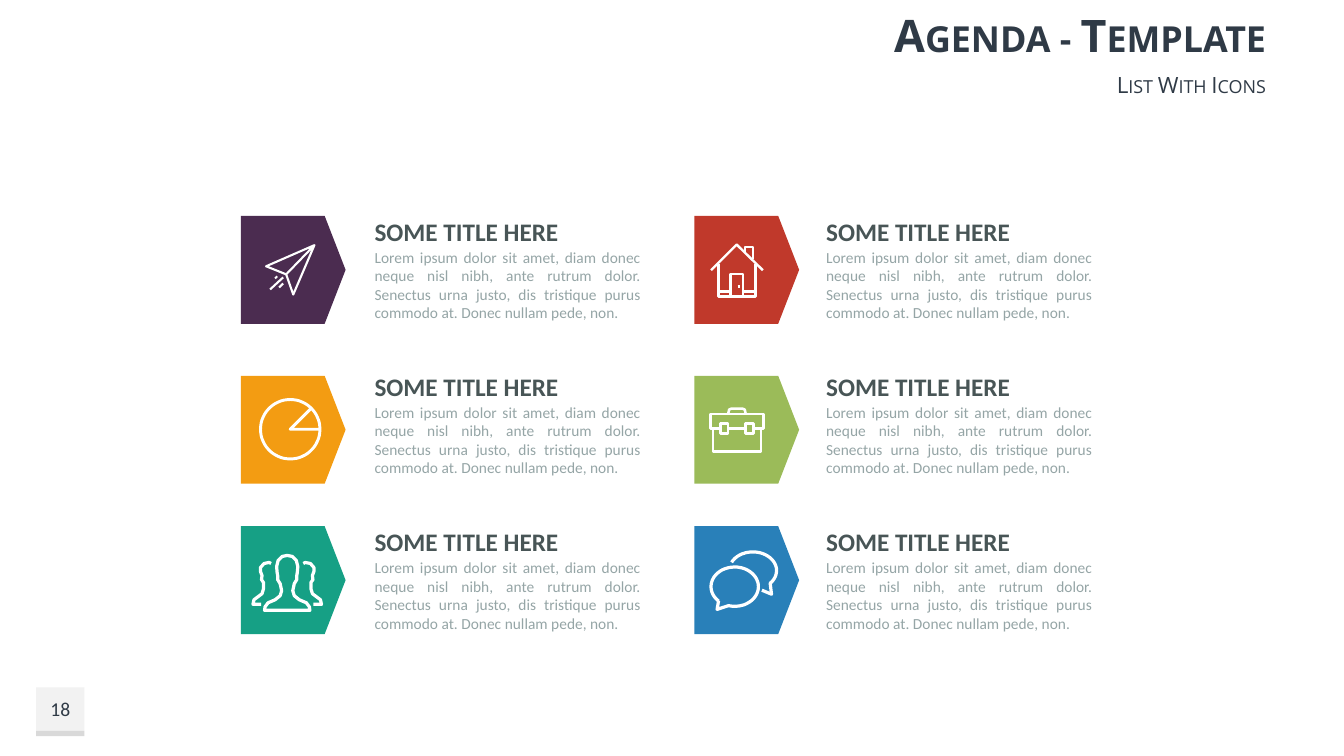
"""Build an agenda slide with six titled entries, each marked by an arrow badge with a line icon."""
from math import cos, radians, sin

from pptx import Presentation
from pptx.dml.color import RGBColor
from pptx.enum.shapes import MSO_SHAPE
from pptx.enum.text import MSO_ANCHOR, MSO_AUTO_SIZE, PP_ALIGN
from pptx.util import Cm, Pt


def arc(cx, cy, rx, ry, start, end):
    """Return points along an ellipse, clockwise, angles in degrees."""
    steps = 60
    angles = [radians(start + (end - start) * i / steps) for i in range(steps + 1)]
    return [(cx + rx * cos(a), cy + ry * sin(a)) for a in angles]


def write(frame, text, size, color, align, font="Calibri", bold=False, **frame_format):
    """Fill a text frame with one formatted run and return the run."""
    for key, value in frame_format.items():
        setattr(frame, key, value)
    paragraph = frame.paragraphs[0]
    paragraph.alignment = align
    run = paragraph.add_run()
    run.text = text
    for key, value in {"name": font, "size": Pt(size), "bold": bold}.items():
        setattr(run.font, key, value)
    run.font.color.rgb = RGBColor.from_string(color)
    return run


deck = Presentation()
deck.slide_width, deck.slide_height = Cm(33.87), Cm(19.05)
slide = deck.slides.add_slide(deck.slide_layouts[0])
shapes = slide.shapes

headings = [
    (shapes.title, "Agenda - Template", 0, 1.73, 32, True),
    (slide.placeholders[1], "List With Icons", 1.73, 0.79, 16, False),
]
for heading, text, top, height, size, bold in headings:
    place = {"left": Cm(10.8), "top": Cm(top), "width": Cm(21.36), "height": Cm(height)}
    for key, value in place.items():
        setattr(heading, key, value)
    run = write(heading.text_frame, text, size, "2F3A46", PP_ALIGN.RIGHT, "Open Sans", bold,
                vertical_anchor=MSO_ANCHOR.MIDDLE, auto_size=MSO_AUTO_SIZE.NONE, word_wrap=True)
    run.font._element.set("cap", "small")

for top, height, color, number in [(17.32, 1.1, "F2F2F2", "18"), (18.42, 0.13, "D9D9D9", "")]:
    tile = shapes.add_shape(MSO_SHAPE.RECTANGLE, Cm(0.91), Cm(top), Cm(1.22), Cm(height))
    tile.shadow.inherit = False
    tile.fill.solid()
    tile.fill.fore_color.rgb = RGBColor.from_string(color)
    tile.line.fill.background()
    if number:
        write(tile.text_frame, number, 14, "2F3A46", PP_ALIGN.CENTER,
              vertical_anchor=MSO_ANCHOR.MIDDLE)

# Icon strokes are in hundredths of an inch from the badge's top left corner.
plane = [
    [(45, 58), (73, 29), (25, 50), (45, 58), (52, 78), (73, 29)],
    [(42, 67), (38, 71)],
    [(42, 61), (29, 73)],
    [(36, 60), (34, 62)],
]
pie = [arc(49, 53, 29.5, 29.5, 0, 360), [(70, 32), (49, 53), (78.5, 53)]]

half_person = [(0, 29), (5, 30), (9, 34), (10.5, 40), (10, 46), (9.5, 49), (9.5, 53), (7, 57),
               (5.5, 64), (7, 69), (12, 73), (19, 76), (22, 80), (22.5, 83.5)]
neighbour = [(16, 37), (18, 36), (23, 37), (26.5, 41), (26.5, 45), (25, 49), (25.5, 53),
             (23.5, 56), (23.5, 62), (25, 67), (29, 70), (33, 73), (34, 77.5), (26, 77.5)]
middle = 46
people = [
    [(middle + x, y) for x, y in half_person]
    + [(middle - x, y) for x, y in reversed(half_person)],
    [(middle + x, y) for x, y in neighbour],
    [(middle - x, y) for x, y in neighbour],
]
house = [
    [(16.5, 54), (42, 28.5), (68, 54)],
    [(24, 48), (24, 80), (60.5, 80), (60.5, 48)],
    [(24, 75), (36, 75)],
    [(48, 75), (60.5, 75)],
    [(36, 80), (36, 58), (48, 58), (48, 80)],
    [(43, 70), (45, 70)],
    [(50.5, 36), (50.5, 31), (58, 31), (58, 43)],
]
briefcase = [
    [(26, 52.5), (16, 52.5), (16, 38), (68.5, 38), (68.5, 52.5), (58.5, 52.5)],
    [(18.5, 52.5), (18.5, 75), (66, 75), (66, 52.5)],
    [(33.5, 52.5), (51, 52.5)],
    [(33.5, 38), (34.5, 33.5), (37, 32.5), (47.5, 32.5), (50, 33.5), (51, 38)],
]
briefcase += [[(x, 47.5), (x + 7.5, 47.5), (x + 7.5, 57.5), (x, 57.5), (x, 47.5)]
              for x in (26, 51)]
chat = [
    arc(40, 60, 23.5, 19.5, 133, 465) + [(22.5, 82.5), (24, 74)],
    arc(58, 44, 23.5, 18.5, 206, 403) + [(76.5, 67.5), (67, 63.5)],
]

entry_title = "SOME TITLE HERE"
entry_text = ("Lorem ipsum dolor sit amet, diam donec neque nisl nibh, ante rutrum dolor. "
              "Senectus urna justo, dis tristique purus commodo at. Donec nullam pede, non.")
columns = [
    (6.07, 9.19, [("4B2C50", plane, 1.5), ("F39C12", pie, 2.1), ("16A085", people, 2.3)]),
    (17.5, 20.57, [("C0392B", house, 1.7), ("9BBB59", briefcase, 1.8), ("2980B9", chat, 2.3)]),
]
badge_tops = [5.44, 9.47, 13.26]
first_text_top, text_step = 5.33, 3.91

for badge_left, text_left, entries in columns:
    for row, (color, icon, weight) in enumerate(entries):
        badge_top = badge_tops[row]
        badge = shapes.add_shape(MSO_SHAPE.PENTAGON, Cm(badge_left), Cm(badge_top),
                                 Cm(2.64), Cm(2.72))
        badge.adjustments[0] = 0.2
        badge.shadow.inherit = False
        badge.fill.solid()
        badge.fill.fore_color.rgb = RGBColor.from_string(color)
        badge.line.fill.background()

        strokes = [[(10 * x, 10 * y) for x, y in stroke] for stroke in icon]
        builder = shapes.build_freeform(*strokes[0][0], scale=Cm(2.54) / 1000)
        builder.add_line_segments(strokes[0][1:], close=False)
        for stroke in strokes[1:]:
            builder.move_to(*stroke[0])
            builder.add_line_segments(stroke[1:], close=False)
        drawing = builder.convert_to_shape(Cm(badge_left), Cm(badge_top))
        drawing.shadow.inherit = False
        drawing.fill.background()
        drawing.line.color.rgb = RGBColor.from_string("FFFFFF")
        drawing.line.width = Pt(weight)

        text_top = first_text_top + row * text_step
        title_box = shapes.add_textbox(Cm(text_left), Cm(text_top), Cm(5.18), Cm(1.02))
        write(title_box.text_frame, entry_title, 18, "485556", PP_ALIGN.LEFT, bold=True,
              word_wrap=False, auto_size=MSO_AUTO_SIZE.SHAPE_TO_FIT_TEXT)
        detail_box = shapes.add_textbox(Cm(text_left), Cm(text_top + 0.79), Cm(7.21), Cm(2.13))
        write(detail_box.text_frame, entry_text, 11, "95A5A6", PP_ALIGN.JUSTIFY,
              word_wrap=True, auto_size=MSO_AUTO_SIZE.SHAPE_TO_FIT_TEXT)

deck.save("out.pptx")
